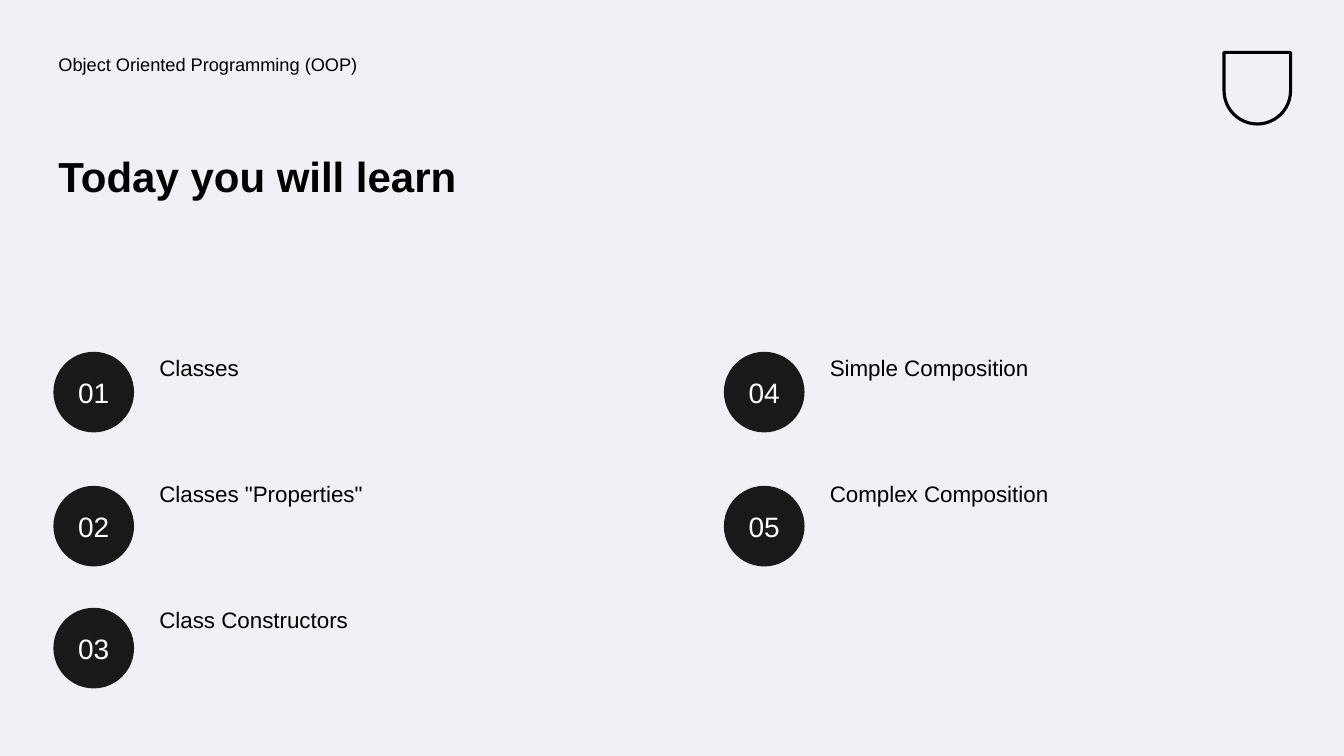
from copy import deepcopy

from pptx import Presentation
from pptx.dml.color import RGBColor
from pptx.enum.shapes import MSO_SHAPE
from pptx.enum.text import MSO_ANCHOR, MSO_AUTO_SIZE, PP_ALIGN
from pptx.oxml.ns import qn
from pptx.util import Inches, Pt

PALE = RGBColor(0xF0, 0xF1, 0xF6)
BLACK = RGBColor(0x00, 0x00, 0x00)
DARK = RGBColor(0x19, 0x19, 0x19)
WHITE = RGBColor(0xFE, 0xFF, 0xFF)

TOPICS = [
    "Classes", 'Classes "Properties"', "Class Constructors",
    "Simple Composition", "Complex Composition",
]
ROWS = 3
LEFT, TOP = 0.53, 3.49
COLUMN, PITCH = 6.65, 1.25
DISC_TOPS = [3.49, 4.82, 6.03]


def extend_layout(layout, count):
    """Give the layout `count` more body placeholders, each with its own index."""
    body = layout.placeholders[1]
    for step in range(1, count + 1):
        twin = deepcopy(body.element)
        name = twin.xpath(".//p:cNvPr")[0]
        name.set("id", str(100 + step))
        name.set("name", f"Topic {step}")
        twin.xpath(".//p:ph")[0].set("idx", str(20 + step))
        layout.shapes._spTree.append(twin)


def place(shape, left, top, width, height):
    shape.left, shape.top = Inches(left), Inches(top)
    shape.width, shape.height = Inches(width), Inches(height)


def write(shape, text, size, color, bold=False, align=PP_ALIGN.LEFT,
          anchor=MSO_ANCHOR.TOP, spacing=0.9, inset=0.05):
    frame = shape.text_frame
    frame.text = text
    frame.word_wrap = True
    frame.auto_size = MSO_AUTO_SIZE.NONE
    frame.vertical_anchor = anchor
    frame.margin_left = frame.margin_right = Inches(inset)
    frame.margin_top = frame.margin_bottom = Inches(inset)
    para = frame.paragraphs[0]
    para.alignment = align
    para.line_spacing = spacing
    para.space_before = Pt(0)
    font = para.runs[0].font
    font.name, font.size, font.bold = "Arial", Pt(size), bold
    font.color.rgb = color


def fill_body(shape, box, text, size):
    """Place a body placeholder and write one line in it without a bullet."""
    place(shape, *box)
    write(shape, text, size, BLACK)
    props = shape.text_frame.paragraphs[0]._p.get_or_add_pPr()
    props.set("marL", "0")
    props.set("indent", "0")
    props.append(props.makeelement(qn("a:buNone"), {}))


def add_badge(slide, left, top, width, height):
    badge = slide.shapes.add_shape(
        MSO_SHAPE.ROUND_2_SAME_RECTANGLE,
        Inches(left), Inches(top), Inches(width), Inches(height))
    badge.adjustments[0] = 0.5
    badge.rotation = 180
    badge.shadow.inherit = False
    badge.fill.background()
    badge.line.color.rgb = BLACK
    badge.line.width = Pt(2.25)


def add_disc(slide, left, top, size, label):
    disc = slide.shapes.add_shape(
        MSO_SHAPE.OVAL, Inches(left), Inches(top), Inches(size), Inches(size))
    disc.shadow.inherit = False
    disc.fill.solid()
    disc.fill.fore_color.rgb = DARK
    disc.line.fill.background()
    write(disc, label, 20, WHITE, align=PP_ALIGN.CENTER,
          anchor=MSO_ANCHOR.MIDDLE, spacing=1.0, inset=0)


def add_header(slide, body, left, top):
    fill_body(body, (left, top, 6.14, 0.5), "Object Oriented Programming (OOP)", 13)
    title = slide.shapes.title
    place(title, left, top + 1, 5.64, 1.49)
    write(title, "Today you will learn", 30, BLACK, bold=True)
    add_badge(slide, left + 11.61, top + 0.02, 0.66, 0.71)


def add_topics(slide, bodies, left, top):
    for index, (body, text) in enumerate(zip(bodies, TOPICS)):
        column, row = divmod(index, ROWS)
        start = left + column * COLUMN
        fill_body(body, (start + 1, top + row * PITCH, 4.63, 0.99), text, 16)
        add_disc(slide, start, DISC_TOPS[row], 0.8, f"{index + 1:02}")


def main():
    deck = Presentation()
    deck.slide_width, deck.slide_height = Inches(13.33), Inches(7.5)
    layout = deck.slide_layouts[1]
    extend_layout(layout, len(TOPICS))
    slide = deck.slides.add_slide(layout)
    slide.background.fill.solid()
    slide.background.fill.fore_color.rgb = PALE
    header, *bodies = list(slide.placeholders)[1:]
    add_header(slide, header, LEFT, 0.5)
    add_topics(slide, bodies, LEFT, TOP)
    deck.save("out.pptx")


if __name__ == "__main__":
    main()
